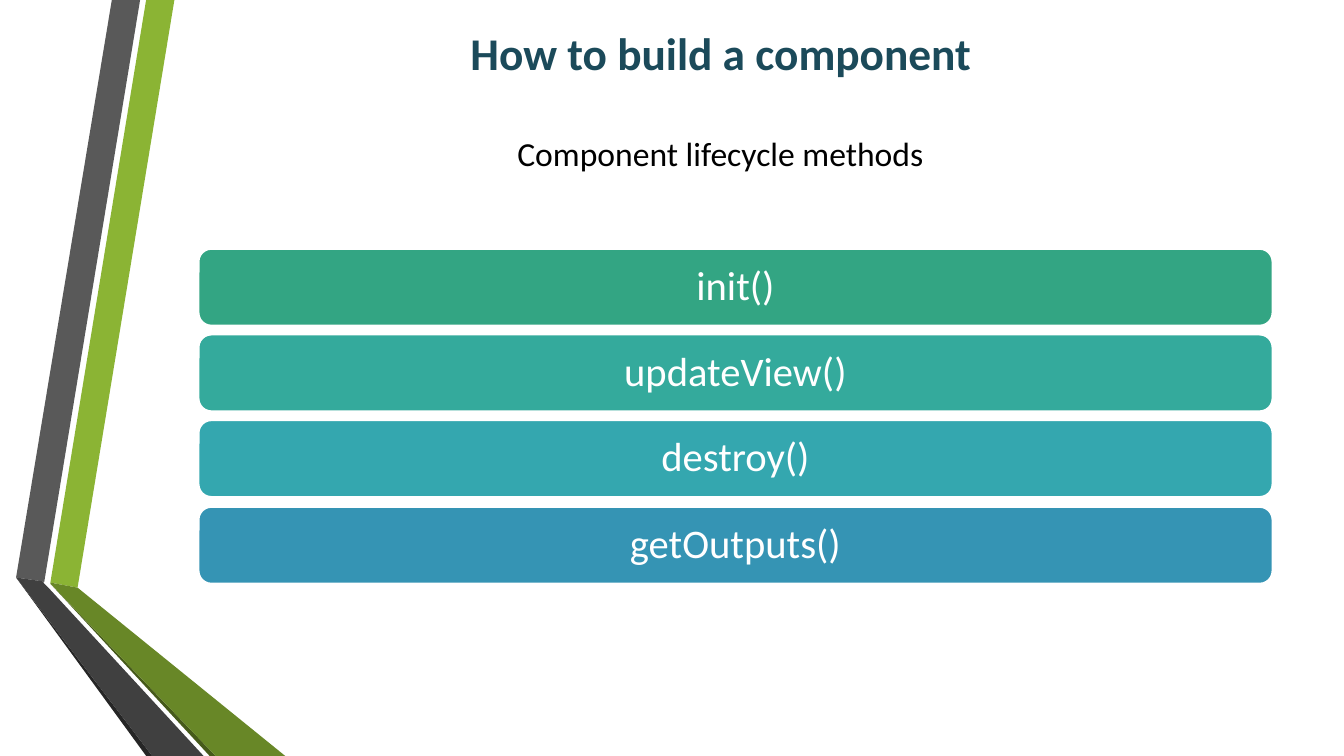
"""Build a slide that lists the component lifecycle methods."""
from pptx import Presentation
from pptx.dml.color import RGBColor
from pptx.enum.shapes import MSO_SHAPE as Shape
from pptx.enum.text import MSO_ANCHOR as Anchor, PP_ALIGN as Align
from pptx.util import Pt

PX = 9144


def color(value):
    return RGBColor.from_string(value)


def write(shape, text, size, fill="FFFFFF", bold=False, anchor=Anchor.MIDDLE, spacing=1.0):
    frame = shape.text_frame
    frame.word_wrap = True
    frame.vertical_anchor = anchor
    paragraph = frame.paragraphs[0]
    paragraph.alignment = Align.CENTER
    paragraph.line_spacing = spacing
    run = paragraph.add_run()
    run.text = text
    run.font.name = "Calibri"
    run.font.size = Pt(size)
    run.font.bold = bold
    run.font.color.rgb = color(fill)


presentation = Presentation()
presentation.slide_width = 1333 * PX
presentation.slide_height = 750 * PX
slide = presentation.slides.add_slide(presentation.slide_layouts[6])
shapes = slide.shapes

ribbons = [
    ("8BB434", [(50, 578), (77, 583), (173, 0), (145, 0)]),
    ("595959", [(139, 0), (111, 0), (16, 573), (44, 577)]),
    ("262626", [(16, 573), (145, 750), (151, 750)]),
    ("465A1A", [(50, 579), (208, 750), (214, 750)]),
    ("688727", [(50, 578), (50, 579), (214, 750), (283, 750), (77, 583)]),
    ("404040", [(16, 573), (151, 750), (202, 750), (48, 583), (43, 578), (44, 577)]),
]
for fill, points in ribbons:
    builder = shapes.build_freeform(*points[0], scale=PX)
    builder.add_line_segments(points[1:], close=True)
    ribbon = builder.convert_to_shape()
    ribbon.shadow.inherit = False
    ribbon.fill.solid()
    ribbon.fill.fore_color.rgb = color(fill)
    ribbon.line.fill.background()

title = shapes.add_textbox(167 * PX, 18 * PX, 1096 * PX, 68 * PX)
write(title, "How to build a component", 32.4, fill="1B4A5A", bold=True)

methods = [
    ("init()", "33A583"),
    ("updateView()", "34AA9C"),
    ("destroy()", "34A7AF"),
    ("getOutputs()", "3594B4"),
]
for index, (name, fill) in enumerate(methods):
    top = 247 + index * 256 // 3
    bar = shapes.add_shape(Shape.ROUNDED_RECTANGLE, 197 * PX, top * PX, 1065 * PX, 76 * PX)
    bar.shadow.inherit = False
    bar.fill.solid()
    bar.fill.fore_color.rgb = color(fill)
    bar.line.color.rgb = color("FFFFFF")
    bar.line.width = Pt(1.25)
    write(bar, name, 29, spacing=0.9)

subtitle = shapes.add_textbox(486 * PX, 127 * PX, 457 * PX, 50 * PX)
write(subtitle, "Component lifecycle methods", 24, fill="000000", anchor=Anchor.TOP)

presentation.save("out.pptx")
